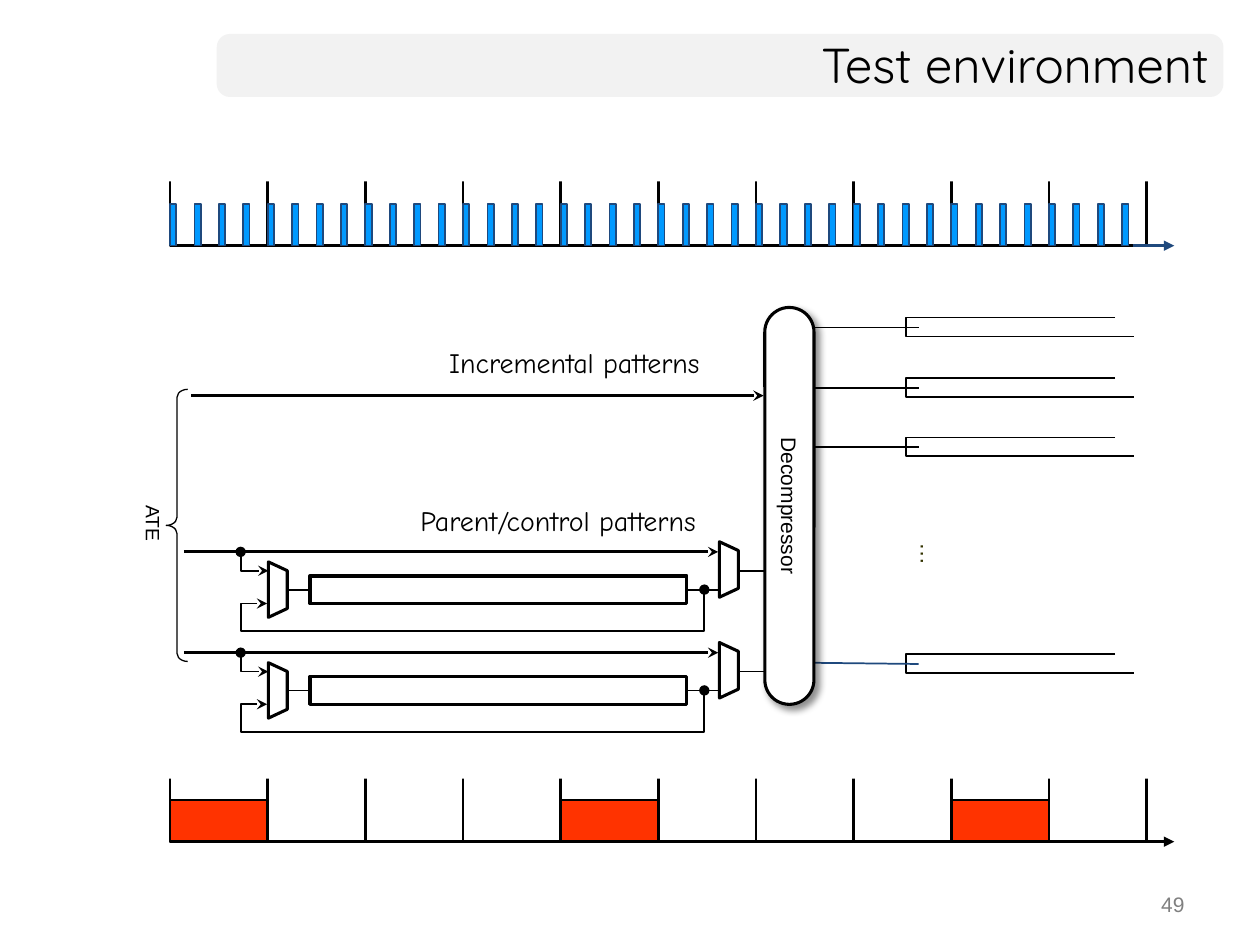
import pptx
import pptx.dml.color
import pptx.enum.shapes
import pptx.enum.text
import pptx.oxml
import pptx.oxml.ns
import pptx.util

RGB = pptx.dml.color.RGBColor
BLACK = RGB(0x00, 0x00, 0x00)
WHITE = RGB(0xFF, 0xFF, 0xFF)
PALE = RGB(0xF2, 0xF2, 0xF2)
GREY = RGB(0x80, 0x80, 0x80)
OLIVE = RGB(0x33, 0x33, 0x00)
NAVY = RGB(0x1F, 0x49, 0x7D)
BLUE = RGB(0x00, 0x99, 0xFF)
RED = RGB(0xFF, 0x33, 0x00)

KIND = pptx.enum.shapes.MSO_SHAPE
ALIGN = pptx.enum.text.PP_ALIGN
MIDDLE = pptx.enum.text.MSO_ANCHOR.MIDDLE
GROW = pptx.enum.text.MSO_AUTO_SIZE.SHAPE_TO_FIT_TEXT
NS = pptx.oxml.ns.nsdecls("a")

# The slide is a grid of 100 columns by 75 rows
COLS, ROWS = 100, 75
UNIT = pptx.util.Inches(10) // COLS
SHADE = (f'<a:effectLst {NS}><a:outerShdw blurRad="50800" dist="38100" '
         'dir="2700000" algn="tl" rotWithShape="0"><a:srgbClr val="000000">'
         '<a:alpha val="43000"/></a:srgbClr></a:outerShdw></a:effectLst>')


def grid(*vals):
    return [round(v * UNIT) for v in vals]


def apply(obj, form):
    for key, val in form.items():
        setattr(obj, key, val)


def style(shape, fill=None, ink=None, width=1):
    shape.shadow.inherit = False
    if fill is None:
        shape.fill.background()
    else:
        shape.fill.solid()
        shape.fill.fore_color.rgb = fill
    if ink is None:
        shape.line.fill.background()
    else:
        stroke(shape, ink, width)


def stroke(shape, ink, width, head=None, tail=None):
    shape.line.color.rgb = ink
    shape.line.width = pptx.util.Pt(width)
    ln = shape._element.spPr.find(pptx.oxml.ns.qn("a:ln"))
    for tag, end in (("headEnd", head), ("tailEnd", tail)):
        if end:
            ln.append(pptx.oxml.parse_xml(f'<a:{tag} {NS} type="{end}"/>'))


def block(kit, box, kind=KIND.RECTANGLE, fill=None, ink=None, width=1):
    shape = kit.add_shape(kind, *grid(*box))
    style(shape, fill, ink, width)
    return shape


def wire(kit, start, end, width=1, ink=BLACK, tail=None):
    line = kit.add_connector(pptx.enum.shapes.MSO_CONNECTOR.STRAIGHT,
                             *grid(*start, *end))
    stroke(line, ink, width, tail=tail)
    line._element.spPr.append(pptx.oxml.parse_xml(f"<a:effectLst {NS}/>"))


def outline(kit, spot, pts, width=1, fill=None, close=False, head=None, tail=None):
    first, *rest = [grid(spot[0] + x, spot[1] + y) for x, y in pts]
    pen = kit.build_freeform(*first)
    pen.add_line_segments(rest, close=close)
    shape = pen.convert_to_shape()
    style(shape, fill)
    stroke(shape, BLACK, width, head, tail)


def write(shape, text, size, font, ink=BLACK, align=ALIGN.LEFT, **form):
    frame = shape.text_frame
    apply(frame, form)
    para = frame.paragraphs[0]
    para.alignment = align
    run = para.add_run()
    run.text = text
    apply(run.font, {"size": pptx.util.Pt(size), "name": font})
    run.font.color.rgb = ink


def label(kit, box, text, size, font, turn=0, **form):
    shape = kit.add_textbox(*grid(*box))
    shape.rotation = turn
    side, top = pptx.util.Inches(0.07), pptx.util.Inches(0.04)
    write(shape, text, size, font, word_wrap=False, auto_size=GROW,
          margin_left=side, margin_right=side,
          margin_top=top, margin_bottom=top, **form)


def header(kit, box):
    x, y, w, h = box
    pill = block(kit, (x + 7.2, y + 0.2, w + 0.2 - 7.2, h - 0.2),
                 KIND.ROUNDED_RECTANGLE, PALE)
    pill.adjustments[0] = 0.21
    write(kit.add_textbox(*grid(*box)), "Test environment", 28, "Quicksand",
          align=ALIGN.RIGHT, vertical_anchor=MIDDLE, word_wrap=True)


def footer(kit, box):
    write(kit.add_textbox(*grid(*box)), "49", 12, "Arial", GREY,
          ALIGN.RIGHT, vertical_anchor=MIDDLE, word_wrap=True)


def bank(kit, box):
    """Shift register with a mux at each end and a feedback loop."""
    x, y, w, h = spot = box
    wire(kit, (x + 43.4, y + 1.5), (x + w, y + 1.5))
    wire(kit, (x + 7.8, y + 3), (x + 42.7, y + 3))
    wire(kit, (x, y), (x + 42.4, y), 1.75, tail="stealth")
    block(kit, (x + 10, y + 1.9, 29.9, 2.2), fill=WHITE, ink=BLACK, width=2)
    outline(kit, spot, [(41.3, 3), (41.3, h), (4.5, h), (4.5, 4.1), (6.6, 4.1)],
            head="oval", tail="stealth")
    for left, top in ((6.7, 0.8), (42.5, -0.8)):
        mux = [(0, 4.4), (1.5, 3.7), (1.5, 0.7), (0, 0)]
        outline(kit, (x + left, y + top), mux, 1.75, WHITE, close=True)
    outline(kit, spot, [(4.5, 0), (4.5, 1.5), (6.7, 1.5)],
            head="oval", tail="stealth")


def chain(kit, box, rise=0, ink=BLACK):
    """Scan chain and its lead from the decompressor."""
    x, y, w, h = box
    outline(kit, (x, y), [(w - 1.5, 0), (0, 0), (0, h), (w, h)], 0.75, WHITE)
    wire(kit, (x - 7.7, y + 0.8 - rise), (x + 1, y + 0.8), ink=ink)


def track(kit, box, marks, fill, edge, width, tip, cover):
    """Time axis of ten cells; marks are (start, length) in cells."""
    x, y, w, h = box
    cell = w / 10
    for i in range(10):
        block(kit, (x + i * cell, y, cell, h), ink=BLACK, width=1.5)
    wire(kit, (x + w - 1.1, y + h), (x + w + 2.2, y + h), 1.5, tip, "triangle")
    for at, span in marks:
        block(kit, (x + at * cell, y + h - 3.3, span * cell, 3.3),
              fill=fill, ink=edge, width=width)
    # White strip that leaves the cells open at the top
    block(kit, (x + cover[0], y + cover[1], w + 3.3, 2.2), fill=WHITE)


def source(kit, box):
    """Tester side: brace, name and incremental input."""
    x, y, w, h = box
    wire(kit, (x + 2, y + 0.5), (x + w, y + 0.5), 1.75, tail="stealth")
    label(kit, (x - 3.2, y + 9.4, 4.4, 2.6), "ATE", 11, "Arial", 90)
    brace = block(kit, (x, y, 1.7, h), KIND.LEFT_BRACE, ink=BLACK, width=0.75)
    brace.adjustments[0] = 0.38
    for left, top, wide, text in ((20.4, -3.9, 24, "Incremental patterns"),
                                  (17.8, 8.7, 26.6, "Parent/control patterns")):
        label(kit, (x + left, y + top, wide, 3.4), text, 16, "Comic Neue",
              align=ALIGN.CENTER)


def decomp(kit, box):
    pill = block(kit, box, KIND.ROUNDED_RECTANGLE, WHITE, BLACK, 1.75)
    pill.adjustments[0] = 0.5
    pill.rotation = 90
    props = pill._element.spPr
    props.remove(props.find(pptx.oxml.ns.qn("a:effectLst")))
    props.append(pptx.oxml.parse_xml(SHADE))
    write(pill, "Decompressor", 12, "Arial", align=ALIGN.CENTER,
          vertical_anchor=MIDDLE)


def main():
    deck = pptx.Presentation()
    apply(deck, {"slide_width": COLS * UNIT, "slide_height": ROWS * UNIT})
    kit = deck.slides.add_slide(deck.slide_layouts[6]).shapes

    header(kit, (10, 2.5, 86.9, 5.2))
    footer(kit, (71.7, 70, 23.3, 3.5))
    for top in (43.8, 51.8):
        bank(kit.add_group_shape().shapes, (14.6, top, 46.7, 6.3))
    source(kit, (13.2, 30.9, 47.4, 21.6))
    for top in (25.2, 30, 34.7):
        chain(kit, (71.9, top, 18.1, 1.5))
    chain(kit, (71.9, 51.9, 18.1, 1.5), 0.1, NAVY)
    label(kit, (70.9, 42.5, 3.2, 2.9), "…", 13, "Arial", 270, ink=OLIVE)

    pulses = [(k / 4, 0.065) for k in range(40)]
    track(kit.add_group_shape().shapes, (13.5, 14.1, 77.5, 5.4),
          pulses, BLUE, NAVY, 1, NAVY, (-1.2, -1.9))
    slots = [(k, 1) for k in (0, 4, 8)]
    track(kit.add_group_shape().shapes, (13.5, 61.3, 77.5, 5.5),
          slots, RED, BLACK, 1.5, BLACK, (-1.6, -1.7))
    decomp(kit, (46.9, 38.2, 31.5, 3.9))
    deck.save("out.pptx")


if __name__ == "__main__":
    main()
